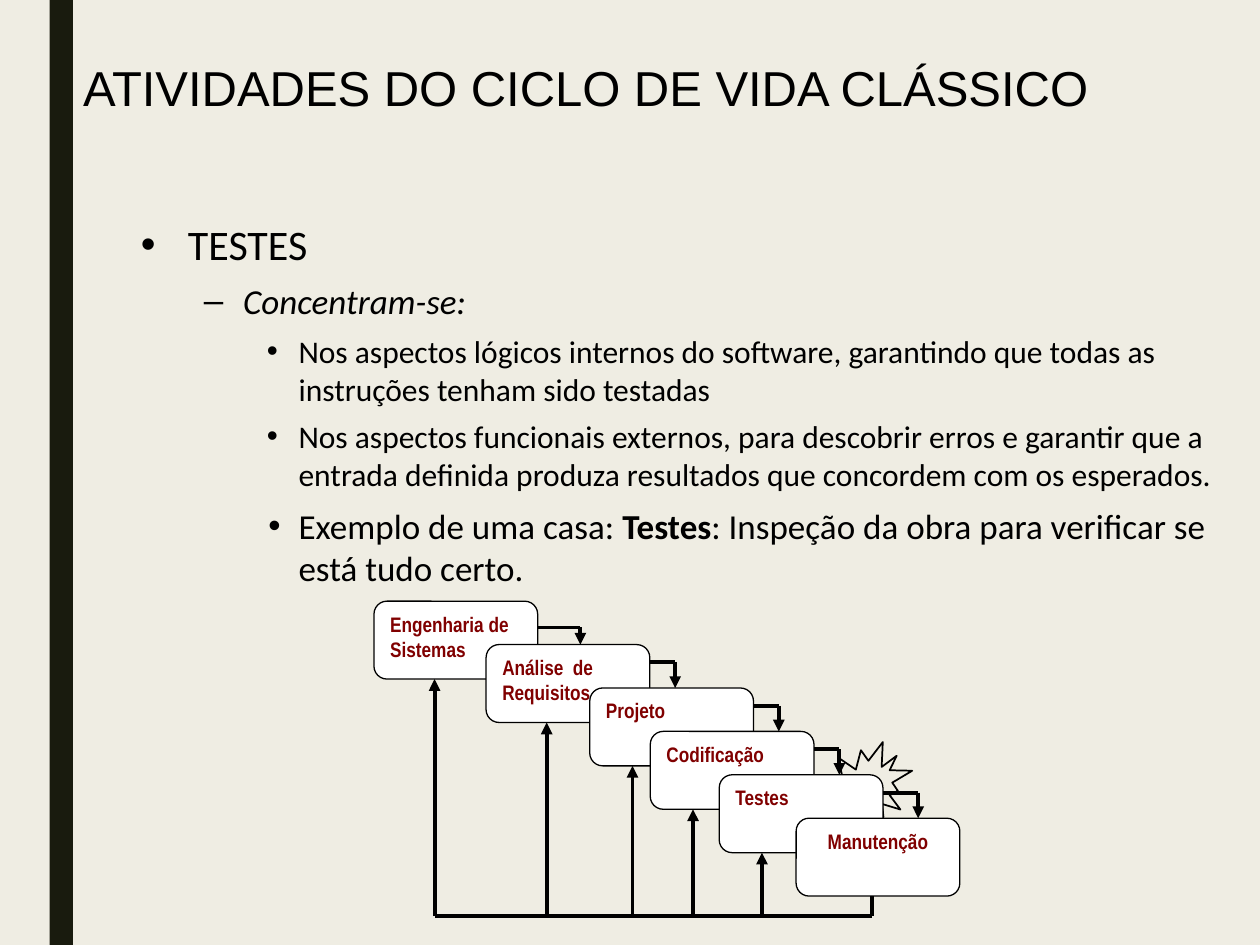
from lxml.etree import SubElement
from pptx import Presentation
from pptx.dml.color import RGBColor
from pptx.enum.shapes import MSO_CONNECTOR, MSO_SHAPE
from pptx.enum.text import MSO_ANCHOR, MSO_AUTO_SIZE, PP_ALIGN
from pptx.oxml.ns import qn
from pptx.util import Cm, Pt

BACKGROUND = RGBColor(0xEF, 0xED, 0xE3)
BAR = RGBColor(0x19, 0x1B, 0x0E)
BLACK = RGBColor(0, 0, 0)
WHITE = RGBColor(0xFF, 0xFF, 0xFF)
MAROON = RGBColor(0x80, 0, 0)

# Text, bold, italic for each run
BULLETS = [
    # level, bullet, left margin, hanging (cm), space before, size, runs
    (0, "•", 0.95, 0.95, 0, 24, [("TESTES", False, False)]),
    (1, "–", 2.06, 0.79, 6, 20, [("Concentram-se:", False, True)]),
    (2, "•", 3.18, 0.64, 5.6, 18, [
        ("Nos aspectos lógicos internos do software, garantindo que todas as "
         "instruções tenham sido testadas", False, False)]),
    (2, "•", 3.18, 0.64, 5.6, 18, [
        ("Nos aspectos funcionais externos, para descobrir erros e garantir que a "
         "entrada definida produza resultados que concordem com os esperados.",
         False, False)]),
    (2, "•", 3.18, 0.61, 6.8, 20, [
        ("Exemplo de uma casa: ", False, False),
        ("Testes", True, False),
        (": Inspeção da obra para verificar se está tudo certo.", False, False)]),
]

# Waterfall: label, left, offset of return line, reach and drop of forward arrow
STAGES = [
    ("Engenharia de Sistemas", 7.54, 1.22, 0.86, 0.53),
    ("Análise  de Requisitos", 9.80, 1.22, 0.51, 0.36),
    ("Projeto", 11.89, 0.86, 0.51, 0.36),
    ("Codificação", 13.11, 0.86, 0.51, 0.36),
    ("Testes", 14.50, 0.86, 0.71, 0.36),
    ("Manutenção", 16.05, 1.53, 0, 0),
]
FIRST_TOP, STEP = 12.12, 0.875
BOX_WIDTH, BOX_HEIGHT = 3.3, 1.57
RETURN_Y = 18.47


class SlideBuilder:
    def __init__(self, presentation):
        self.slide = presentation.slides.add_slide(presentation.slide_layouts[5])
        self.slide.background.fill.solid()
        self.slide.background.fill.fore_color.rgb = BACKGROUND

    def add_run(self, paragraph, text, font, size, color, bold=False, italic=False):
        run = paragraph.add_run()
        run.text = text
        run.font.name, run.font.size = font, Pt(size)
        run.font.bold, run.font.italic = bold, italic
        run.font.color.rgb = color

    def title(self, text, left, top, width, height):
        shape = self.slide.shapes.title
        shape.left, shape.top, shape.width, shape.height = map(
            Cm, (left, top, width, height))
        frame = shape.text_frame
        frame.auto_size = MSO_AUTO_SIZE.NONE
        frame.vertical_anchor = MSO_ANCHOR.MIDDLE
        paragraph = frame.paragraphs[0]
        paragraph.alignment = PP_ALIGN.LEFT
        self.add_run(paragraph, text, "Arial", 28, BLACK)

    def bullet_list(self, items, left, top, width, height):
        frame = self.slide.shapes.add_textbox(
            *map(Cm, (left, top, width, height))).text_frame
        frame.word_wrap = True
        for index, (level, mark, margin, hanging, before, size, runs) in enumerate(items):
            paragraph = frame.add_paragraph() if index else frame.paragraphs[0]
            paragraph.level = level
            properties = paragraph._p.get_or_add_pPr()
            properties.set("marL", str(Cm(margin)))
            properties.set("indent", str(-Cm(hanging)))
            color = SubElement(properties, qn("a:buClr"))
            SubElement(color, qn("a:srgbClr"), val=str(BLACK))
            SubElement(properties, qn("a:buFont"), typeface="Arial")
            SubElement(properties, qn("a:buChar"), char=mark)
            paragraph.space_before = Pt(before)
            for text, bold, italic in runs:
                self.add_run(paragraph, text, "Calibri", size, BLACK, bold, italic)

    def shape(self, kind, left, top, width, height, fill=None, line_width=None):
        shape = self.slide.shapes.add_shape(
            kind, *map(Cm, (left, top, width, height)))
        shape.shadow.inherit = False
        if fill is None:
            shape.fill.background()
        else:
            shape.fill.solid()
            shape.fill.fore_color.rgb = fill
        if line_width is None:
            shape.line.fill.background()
        else:
            shape.line.color.rgb = BLACK
            shape.line.width = Pt(line_width)
        return shape

    def stage(self, label, left, top, alignment):
        shape = self.shape(MSO_SHAPE.ROUNDED_RECTANGLE, left, top,
                           BOX_WIDTH, BOX_HEIGHT, WHITE, 0.75)
        frame = shape.text_frame
        frame.word_wrap = True
        frame.vertical_anchor = MSO_ANCHOR.TOP
        paragraph = frame.paragraphs[0]
        paragraph.alignment = alignment
        self.add_run(paragraph, label, "Arial Narrow", 12, MAROON, bold=True)

    def line(self, x1, y1, x2, y2, arrow=False):
        connector = self.slide.shapes.add_connector(
            MSO_CONNECTOR.STRAIGHT, *map(Cm, (x1, y1, x2, y2)))
        connector.line.color.rgb = BLACK
        connector.line.width = Pt(2.25)
        if arrow:
            SubElement(connector.line._get_or_add_ln(), qn("a:tailEnd"), type="triangle")
        SubElement(connector._element.spPr, qn("a:effectLst"))


def main():
    presentation = Presentation()
    presentation.slide_width, presentation.slide_height = Cm(25.4), Cm(19.05)
    builder = SlideBuilder(presentation)

    # Side bar, title and text
    builder.shape(MSO_SHAPE.RECTANGLE, 1, 0, 0.47, 19.05, BAR)
    builder.title("ATIVIDADES DO CICLO DE VIDA CLÁSSICO", 1.42, 0.86, 24.41, 1.8)
    builder.bullet_list(BULLETS, 2.59, 4.29, 22.33, 13.94)

    # Highlight behind the stages, then the stages
    builder.shape(MSO_SHAPE.EXPLOSION2, 16.51, 14.96, 1.88, 1.88, line_width=1)
    tops = [FIRST_TOP + STEP * index for index in range(len(STAGES))]
    last = len(STAGES) - 1
    for index, (label, left, *_) in enumerate(STAGES):
        alignment = PP_ALIGN.CENTER if index == last else PP_ALIGN.LEFT
        builder.stage(label, left, tops[index], alignment)

    # Forward arrows and return arrows
    for index, (_, left, offset, reach, drop) in enumerate(STAGES[:last]):
        right, elbow_y = left + BOX_WIDTH, tops[index] + drop
        builder.line(right, elbow_y, right + reach, elbow_y)
        builder.line(right + reach, elbow_y, right + reach, tops[index + 1], arrow=True)
        builder.line(left + offset, RETURN_Y,
                     left + offset, tops[index] + BOX_HEIGHT, arrow=True)

    # Common return line
    start_x = STAGES[last][1] + STAGES[last][2]
    builder.line(start_x, tops[last] + BOX_HEIGHT, start_x, RETURN_Y)
    builder.line(STAGES[0][1] + STAGES[0][2], RETURN_Y, start_x, RETURN_Y)

    presentation.save("out.pptx")


if __name__ == "__main__":
    main()
